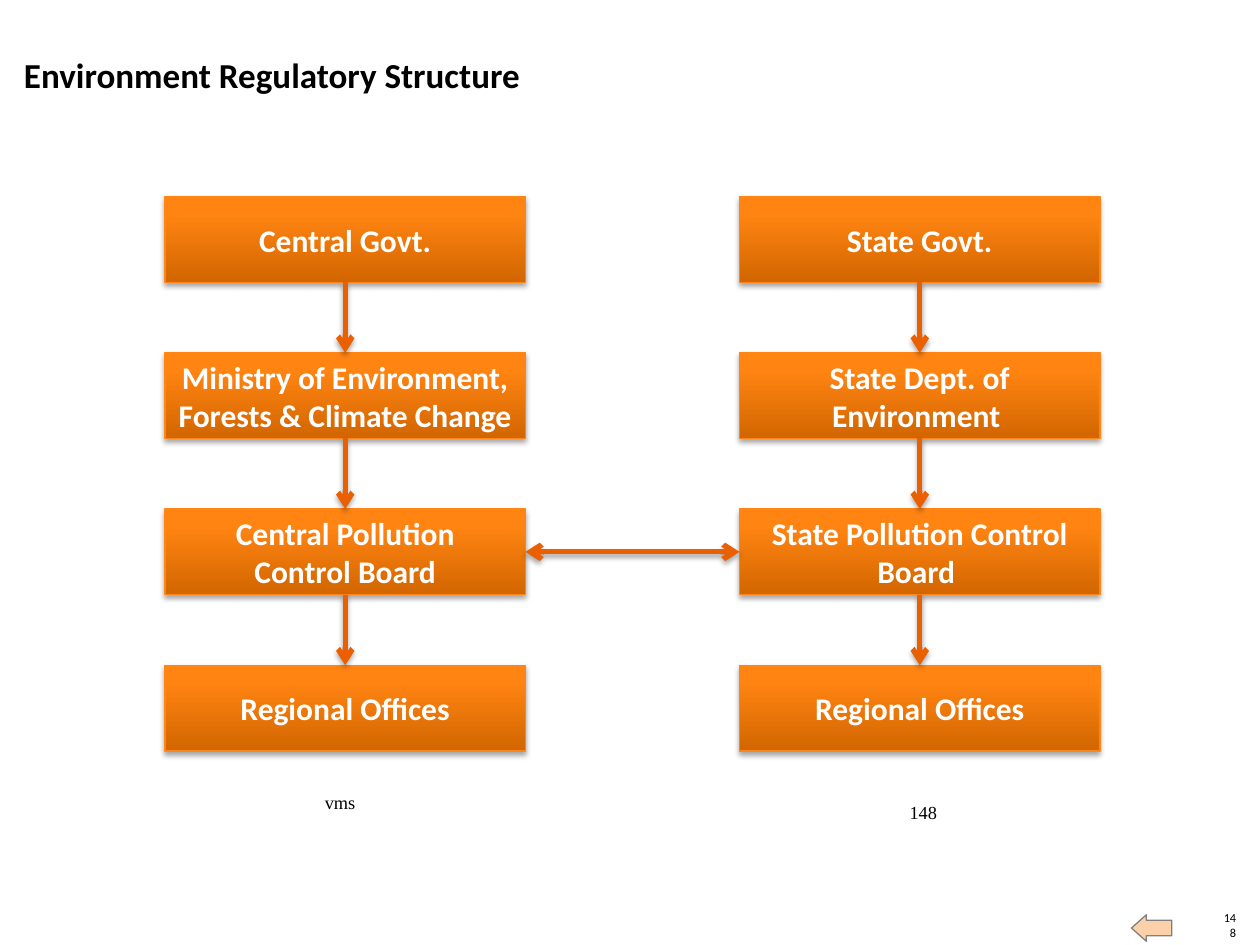
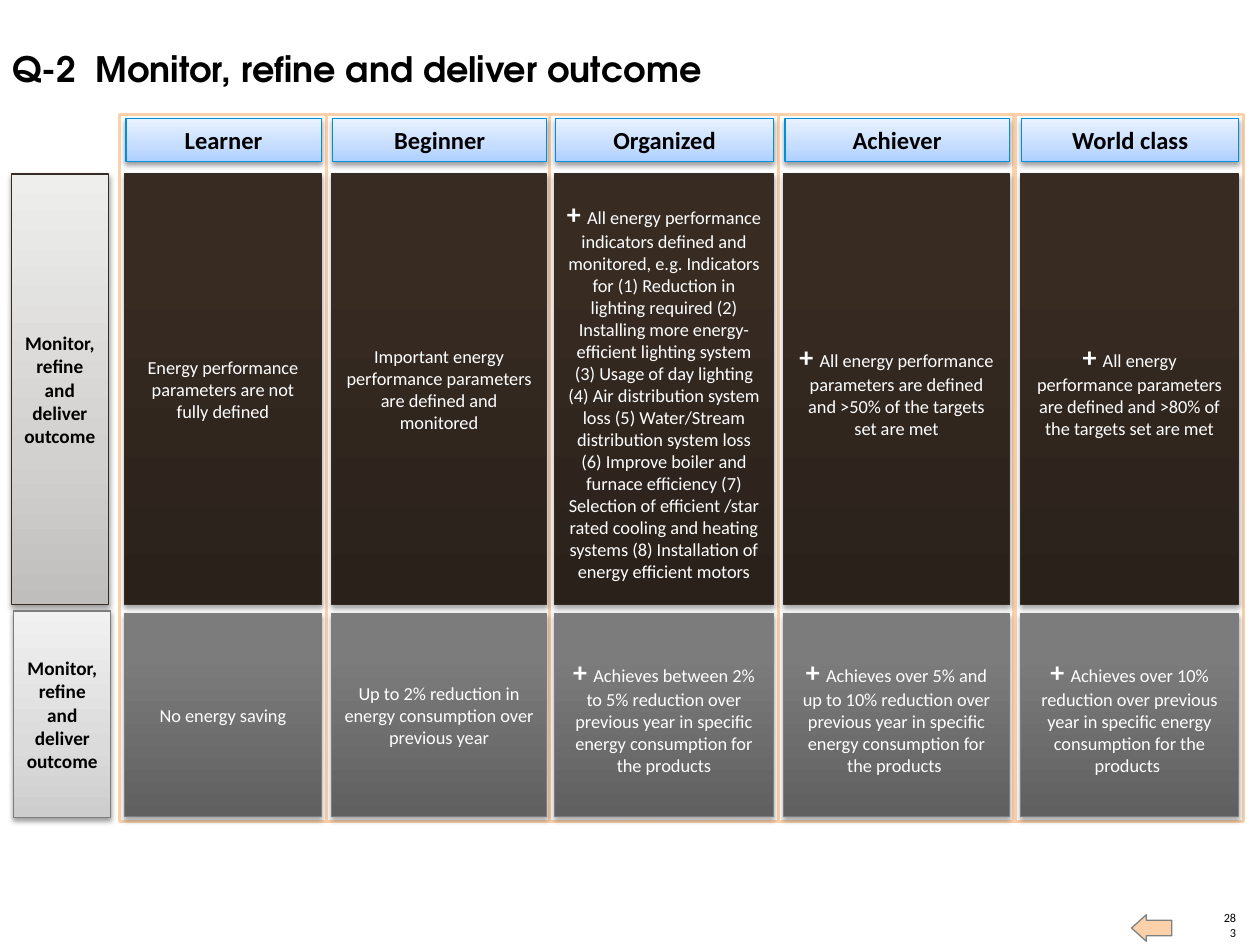
from collections import namedtuple

from lxml.etree import SubElement
from pptx import Presentation
from pptx.dml.color import RGBColor
from pptx.enum.shapes import MSO_CONNECTOR, MSO_SHAPE
from pptx.enum.text import MSO_ANCHOR, PP_ALIGN
from pptx.oxml.ns import qn
from pptx.util import Inches, Pt

BLACK = RGBColor(0x00, 0x00, 0x00)
WHITE = RGBColor(0xFF, 0xFF, 0xFF)
PEACH = RGBColor(0xFC, 0xD1, 0xAA)
GREY = RGBColor(0x80, 0x80, 0x80)
ARROW_ORANGE = RGBColor(0xEA, 0x5F, 0x00)
BOX_ORANGE = RGBColor(0xFF, 0x86, 0x15)
BROWN = RGBColor(0x35, 0x2C, 0x25)
MID_GREY = RGBColor(0x7D, 0x7D, 0x7D)
BLUE = RGBColor(0x00, 0x8F, 0xDC)

BODY_FONT = "Calibri"

Shadow = namedtuple("Shadow", "opacity distance")
STRONG_SHADOW = Shadow(35, 1.8)
SOFT_SHADOW = Shadow(38, 1.6)

# Gradient stops are (position in percent, colour), from bottom to top.
Style = namedtuple("Style", "stops line shadow size bold color")
ORANGE_BOX = Style([(0, "D26600"), (80, "FF8412"), (100, "FF8514")],
                   BOX_ORANGE, STRONG_SHADOW, 18, True, WHITE)
LEVEL_HEADER = Style([(0, "AECFFF"), (35, "C6DDFF"), (100, "E9F2FF")],
                     BLUE, SOFT_SHADOW, 14, True, BLACK)
BROWN_CELL = Style([(0, "2A211B"), (80, "372B22"), (100, "372B22")],
                   BROWN, STRONG_SHADOW, 10.5, False, WHITE)
GREY_CELL = Style([(0, "606060"), (80, "7C7C7C"), (100, "7D7D7D")],
                  MID_GREY, STRONG_SHADOW, 10.5, False, WHITE)
BROWN_LABEL = Style([(0, "C0BEBC"), (35, "D3D1D0"), (100, "EEEEED")],
                    BROWN, SOFT_SHADOW, 11, True, BLACK)
GREY_LABEL = Style([(0, "CDCDCD"), (35, "DBDBDB"), (100, "F1F1F1")],
                   MID_GREY, SOFT_SHADOW, 11, True, BLACK)

BOX_WIDTH, BOX_HEIGHT = 2.86, 0.68
BOX_TOP, BOX_PITCH = 1.56, 1.24
AUTHORITIES = [
    (1.31, ["Central Govt.",
            "Ministry of Environment,\nForests & Climate Change",
            "Central Pollution\nControl Board",
            "Regional Offices"]),
    (5.87, ["State Govt.",
            "State Dept. of Environment ",
            "State Pollution Control Board ",
            "Regional Offices"]),
]
BOARD_ROW = 2

Level = namedtuple("Level", "name left width performance saving")
LEVELS = [
    Level("Learner", 0.95, 1.64,
          "Energy performance parameters are not fully defined",
          "No energy saving"),
    Level("Beginner", 2.59, 1.79,
          "Important energy performance parameters are defined and monitored",
          "Up to 2% reduction in energy consumption over previous year"),
    Level("Organized", 4.36, 1.82,
          "+ All energy performance indicators defined and monitored, e.g. "
          "Indicators for (1) Reduction in lighting required (2) Installing "
          "more energy-efficient lighting system (3) Usage of day lighting "
          "(4) Air distribution system loss (5) Water/Stream distribution "
          "system loss (6) Improve boiler and furnace efficiency (7) Selection "
          "of efficient /star rated cooling and heating systems (8) "
          "Installation of energy efficient motors",
          "+ Achieves between 2% to 5% reduction over previous year in "
          "specific energy consumption for the products"),
    Level("Achiever", 6.18, 1.87,
          "+ All energy performance parameters are defined and >50% of the "
          "targets set are met",
          "+ Achieves over 5% and up to 10% reduction over previous year in "
          "specific energy consumption for the products "),
    Level("World class", 8.06, 1.81,
          "+ All energy performance parameters are defined and >80% of the "
          "targets set are met",
          "+ Achieves over 10% reduction over previous year in specific "
          "energy consumption for the products "),
]
ROW_LABEL = "Monitor, refine and deliver outcome"


def add_run(paragraph, text, size, color, bold=False, font=BODY_FONT):
    run = paragraph.add_run()
    run.text = text
    run.font.name = font
    run.font.size = Pt(size)
    run.font.bold = bold
    run.font.color.rgb = color


def add_text(slide, text, left, top, width, height, size, font=BODY_FONT,
             bold=False, align=PP_ALIGN.LEFT, anchor=MSO_ANCHOR.TOP,
             margins=True):
    box = slide.shapes.add_textbox(Inches(left), Inches(top),
                                   Inches(width), Inches(height))
    frame = box.text_frame
    frame.word_wrap = True
    frame.vertical_anchor = anchor
    if not margins:
        frame.margin_left = frame.margin_right = 0
        frame.margin_top = frame.margin_bottom = 0
    paragraph = frame.paragraphs[0]
    paragraph.alignment = align
    add_run(paragraph, text, size, BLACK, bold, font)


def add_shadow(effects, shadow):
    outer = SubElement(effects, qn("a:outerShdw"), blurRad=str(Pt(3.1)),
                       dist=str(Pt(shadow.distance)), dir="5400000",
                       rotWithShape="0")
    color = SubElement(outer, qn("a:srgbClr"), val="000000")
    SubElement(color, qn("a:alpha"), val=str(shadow.opacity * 1000))


def add_plain_shape(slide, kind, left, top, width, height, fill, line, weight):
    shape = slide.shapes.add_shape(kind, Inches(left), Inches(top),
                                   Inches(width), Inches(height))
    shape.shadow.inherit = False
    shape.fill.solid()
    shape.fill.fore_color.rgb = fill
    shape.line.color.rgb = line
    shape.line.width = Pt(weight)
    return shape


def fill_gradient(shape, stops):
    shape.fill.gradient()
    shape.fill.gradient_angle = 90
    stop_list = shape.element.spPr.find(".//" + qn("a:gsLst"))
    for stop in list(stop_list):
        stop_list.remove(stop)
    for position, color in stops:
        stop = SubElement(stop_list, qn("a:gs"), pos=str(position * 1000))
        SubElement(stop, qn("a:srgbClr"), val=color)


def add_box(slide, text, left, top, width, height, style):
    """Add a gradient box; a leading plus sign is set large and bold."""
    shape = add_plain_shape(slide, MSO_SHAPE.RECTANGLE, left, top, width,
                            height, WHITE, style.line, 0.75)
    fill_gradient(shape, style.stops)
    add_shadow(shape.element.spPr.find(qn("a:effectLst")), style.shadow)
    frame = shape.text_frame
    frame.word_wrap = True
    frame.vertical_anchor = MSO_ANCHOR.MIDDLE
    for index, line in enumerate(text.split("\n")):
        paragraph = frame.add_paragraph() if index else frame.paragraphs[0]
        paragraph.alignment = PP_ALIGN.CENTER
        if line.startswith("+ "):
            add_run(paragraph, "+ ", 16, style.color, True)
            line = line[2:]
        add_run(paragraph, line, style.size, style.color, style.bold)


def add_arrow(slide, start, end, both_ends=False):
    connector = slide.shapes.add_connector(
        MSO_CONNECTOR.STRAIGHT, *(Inches(value) for value in start + end))
    connector.line.color.rgb = ARROW_ORANGE
    connector.line.width = Pt(3)
    properties = connector.element.spPr
    line = properties.find(qn("a:ln"))
    if both_ends:
        SubElement(line, qn("a:headEnd"), type="arrow")
    SubElement(line, qn("a:tailEnd"), type="arrow")
    add_shadow(SubElement(properties, qn("a:effectLst")), STRONG_SHADOW)


def add_slide(presentation, number):
    """Add a blank slide with its page number and back arrow."""
    slide = presentation.slides.add_slide(presentation.slide_layouts[6])
    add_text(slide, number, 9.69, 7.34, 0.12, 0.12, 7, align=PP_ALIGN.RIGHT,
             anchor=MSO_ANCHOR.BOTTOM, margins=False)
    back_arrow = add_plain_shape(slide, MSO_SHAPE.RIGHT_ARROW, 8.98, 7.26,
                                 0.32, 0.21, PEACH, GREY, 0.75)
    back_arrow.rotation = 180
    back_arrow.adjustments[0] = 0.59
    back_arrow.adjustments[1] = 0.56
    return slide


def build_regulatory_structure(presentation):
    slide = add_slide(presentation, "148")
    add_text(slide, "Environment Regulatory Structure", 0.19, 0.42, 7.65, 0.34,
             20, bold=True, anchor=MSO_ANCHOR.BOTTOM, margins=False)
    add_text(slide, "vms", 2.48, 6.23, 2.88, 0.38, 10.5, "Times New Roman")
    add_text(slide, "148", 7.12, 6.31, 1.25, 0.38, 10.5, "Times New Roman")

    for left, names in AUTHORITIES:
        for row, name in enumerate(names):
            add_box(slide, name, left, BOX_TOP + row * BOX_PITCH,
                    BOX_WIDTH, BOX_HEIGHT, ORANGE_BOX)
    for left, names in AUTHORITIES:
        center = left + BOX_WIDTH / 2
        for row in range(len(names) - 1):
            top = BOX_TOP + row * BOX_PITCH
            add_arrow(slide, (center, top + BOX_HEIGHT),
                      (center, top + BOX_PITCH))
    board_middle = BOX_TOP + BOARD_ROW * BOX_PITCH + BOX_HEIGHT / 2
    central_left, state_left = (left for left, _ in AUTHORITIES)
    add_arrow(slide, (central_left + BOX_WIDTH, board_middle),
              (state_left, board_middle), both_ends=True)


def build_maturity_matrix(presentation):
    slide = add_slide(presentation, "283")
    add_text(slide, "Q-2  Monitor, refine and deliver outcome",
             0, 0.33, 8.6, 0.44, 20, "TeX Gyre Adventor", True)
    add_box(slide, ROW_LABEL, 0.09, 1.38, 0.77, 3.42, BROWN_LABEL)
    add_box(slide, ROW_LABEL, 0.11, 4.85, 0.77, 1.64, GREY_LABEL)

    for level in LEVELS:
        add_plain_shape(slide, MSO_SHAPE.RECTANGLE, level.left, 0.91,
                        level.width, 5.61, WHITE, PEACH, 2)
    for level in LEVELS:
        add_box(slide, level.name, level.left + 0.05, 0.94,
                level.width - 0.09, 0.34, LEVEL_HEADER)
        cell_left, cell_width = level.left + 0.04, level.width - 0.08
        add_box(slide, level.performance, cell_left, 1.38, cell_width, 3.42,
                BROWN_CELL)
        add_box(slide, level.saving, cell_left, 4.87, cell_width, 1.61,
                GREY_CELL)


def main():
    presentation = Presentation()
    presentation.slide_width = Inches(10)
    presentation.slide_height = Inches(7.5)
    build_regulatory_structure(presentation)
    build_maturity_matrix(presentation)
    presentation.save("out.pptx")


if __name__ == "__main__":
    main()
